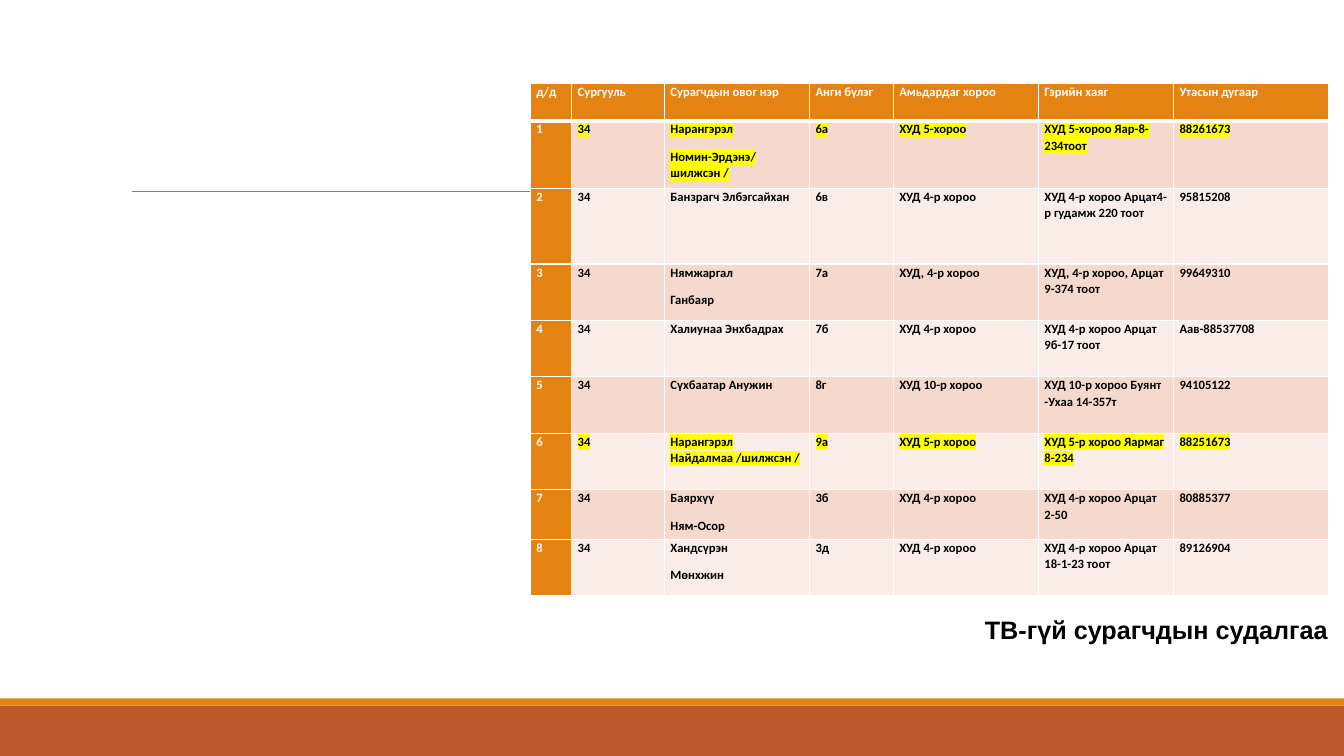
"""Build the slide listing the pupils who have no television."""

import dataclasses
from typing import Any, Optional

import lxml.etree
import pptx
import pptx.dml.color
import pptx.enum.shapes
import pptx.enum.text
import pptx.oxml.ns
import pptx.util

Inches = pptx.util.Inches
Points = pptx.util.Pt
Color = pptx.dml.color.RGBColor

WHITE = Color(0xFF, 0xFF, 0xFF)
BLACK = Color(0x00, 0x00, 0x00)
GRAY = Color(0x80, 0x80, 0x80)
ORANGE = Color(0xE4, 0x83, 0x12)
RUST = Color(0xBD, 0x58, 0x2C)
YELLOW = Color(0xFF, 0xFF, 0x00)
BANDS = (Color(0xF5, 0xD9, 0xCC), Color(0xFA, 0xED, 0xE7))

COLUMN_WIDTHS = (0.41, 0.92, 1.44, 0.83, 1.44, 1.34, 1.54)
HEADER_HEIGHT = 0.37
HEADINGS = ("д/д", "Сургууль", "Сурагчдын овог нэр", "Анги бүлэг",
            "Амьдардаг хороо", "Гэрийн хаяг", "Утасын дугаар")
SCHOOL = "34"


@dataclasses.dataclass(frozen=True)
class Bar:
    top: float
    height: float
    color: Color


@dataclasses.dataclass(frozen=True)
class Pupil:
    height: float
    name: str
    group: str
    district: str
    address: str
    phone: str
    moved: bool = False


BARS = (Bar(7, 0.5, RUST), Bar(6.93, 0.07, ORANGE))
PUPILS = (
    Pupil(0.67, "Нарангэрэл\nНомин-Эрдэнэ/ шилжсэн /", "6а", "ХУД 5-хороо",
          "ХУД 5-хороо Яар-8-234тоот", "88261673", True),
    Pupil(0.75, "Банзрагч Элбэгсайхан", "6в", "ХУД 4-р хороо",
          "ХУД 4-р хороо Арцат4-р гудамж 220 тоот", "95815208"),
    Pupil(0.56, "Нямжаргал\nГанбаяр", "7а", "ХУД, 4-р хороо",
          "ХУД, 4-р хороо, Арцат 9-374 тоот", "99649310"),
    Pupil(0.56, "Халиунаа Энхбадрах", "7б", "ХУД 4-р хороо",
          "ХУД 4-р хороо Арцат 9б-17 тоот", "Аав-88537708"),
    Pupil(0.56, "Сүхбаатар Анужин", "8г", "ХУД 10-р хороо",
          "ХУД 10-р хороо Буянт -Ухаа 14-357т", "94105122"),
    Pupil(0.56, "Нарангэрэл Найдалмаа /шилжсэн /", "9а", "ХУД 5-р хороо",
          "ХУД 5-р хороо Яармаг 8-234", "88251673", True),
    Pupil(0.49, "Баярхүү\nНям-Осор", "3б", "ХУД 4-р хороо",
          "ХУД 4-р хороо Арцат 2-50", "80885377"),
    Pupil(0.56, "Хандсүрэн\nМөнхжин", "3д", "ХУД 4-р хороо",
          "ХУД 4-р хороо Арцат 18-1-23 тоот", "89126904"),
)


def apply(target: Any, values: dict[str, Any]) -> None:
    for name, value in values.items():
        setattr(target, name, value)


def add_element(parent: Any, tag: str, **attributes: str) -> Any:
    return lxml.etree.SubElement(parent, pptx.oxml.ns.qn(tag), attributes)


def add_color(parent: Any, color: Color) -> None:
    add_element(parent, "a:srgbClr", val=str(color))


def draw_bar(page: Any, bar: Bar, width: int) -> None:
    shape = page.shapes.add_shape(
        pptx.enum.shapes.MSO_SHAPE.RECTANGLE, 0, Inches(bar.top), width, Inches(bar.height))
    shape.shadow.inherit = False
    shape.fill.solid()
    shape.fill.fore_color.rgb = bar.color
    shape.line.fill.background()


def draw_rule(page: Any) -> None:
    rule = page.shapes.add_connector(
        pptx.enum.shapes.MSO_CONNECTOR.STRAIGHT,
        Inches(1.31), Inches(1.9), Inches(12.21), Inches(1.9))
    rule.line.color.rgb = GRAY
    rule.line.width = Points(0.5)
    add_element(rule._element.spPr, "a:effectLst")


def draw_borders(cell: Any, top: float, bottom: float) -> None:
    properties = cell._tc.get_or_add_tcPr()
    for side, width in {"L": 1, "R": 1, "T": top, "B": bottom}.items():
        line = add_element(properties, f"a:ln{side}", w=str(Points(width)))
        add_color(add_element(line, "a:solidFill"), WHITE)


def format_span(span: Any, color: Color, highlight: Optional[Color]) -> None:
    apply(span.font, {"name": "Calibri", "size": Points(9), "bold": True})
    span.font.color.rgb = color
    if highlight is not None:
        properties = span._r.get_or_add_rPr()
        marker = add_element(properties, "a:highlight")
        add_color(marker, highlight)
        properties.find(pptx.oxml.ns.qn("a:latin")).addprevious(marker)


def fill_cell(cell: Any, text: str, row: int, fill: Color, color: Color,
              highlight: Optional[Color]) -> None:
    draw_borders(cell, top=3 if row == 1 else 1, bottom=3 if row == 0 else 1)
    cell.fill.solid()
    cell.fill.fore_color.rgb = fill
    apply(cell, {"margin_left": Inches(0.06), "margin_right": Inches(0.06),
                 "margin_top": 0, "margin_bottom": 0, "text": text})
    for para in cell.text_frame.paragraphs:
        apply(para, {"line_spacing": 1.07, "space_after": Points(8)})
        for span in para.runs:
            format_span(span, color, highlight)


def draw_table(page: Any) -> None:
    heights = [HEADER_HEIGHT] + [pupil.height for pupil in PUPILS]
    table = page.shapes.add_table(
        len(heights), len(COLUMN_WIDTHS), Inches(5.26), Inches(0.83),
        Inches(sum(COLUMN_WIDTHS)), Inches(sum(heights))).table
    for column, width in zip(table.columns, COLUMN_WIDTHS):
        column.width = Inches(width)
    for row, height in zip(table.rows, heights):
        row.height = Inches(height)
    for column, heading in enumerate(HEADINGS):
        fill_cell(table.cell(0, column), heading, 0, ORANGE, WHITE, None)
    for number, pupil in enumerate(PUPILS, start=1):
        fill_cell(table.cell(number, 0), str(number), number, ORANGE, WHITE, None)
        details = (SCHOOL, pupil.name, pupil.group, pupil.district,
                   pupil.address, pupil.phone)
        band = BANDS[(number - 1) % len(BANDS)]
        highlight = YELLOW if pupil.moved else None
        for column, text in enumerate(details, start=1):
            fill_cell(table.cell(number, column), text, number, band, BLACK, highlight)


def draw_title(page: Any) -> None:
    title = page.shapes.title
    apply(title, {"left": Inches(8.17), "top": Inches(6.04),
                  "width": Inches(5.17), "height": Inches(0.4)})
    apply(title.text_frame, {
        "text": "ТВ-гүй сурагчдын судалгаа",
        "word_wrap": True,
        "margin_right": Inches(0.17),
        "vertical_anchor": pptx.enum.text.MSO_ANCHOR.MIDDLE,
        "auto_size": pptx.enum.text.MSO_AUTO_SIZE.SHAPE_TO_FIT_TEXT,
    })
    para = title.text_frame.paragraphs[0]
    para.alignment = pptx.enum.text.PP_ALIGN.RIGHT
    span = para.runs[0]
    apply(span.font, {"name": "Arial", "size": Points(18), "bold": True})
    span.font.color.rgb = BLACK


def main() -> None:
    deck = pptx.Presentation()
    apply(deck, {"slide_width": Inches(13.33), "slide_height": Inches(7.5)})
    page = deck.slides.add_slide(deck.slide_layouts.get_by_name("Title Only"))
    for bar in BARS:
        draw_bar(page, bar, deck.slide_width)
    draw_rule(page)
    draw_table(page)
    draw_title(page)
    deck.save("out.pptx")


if __name__ == "__main__":
    main()
